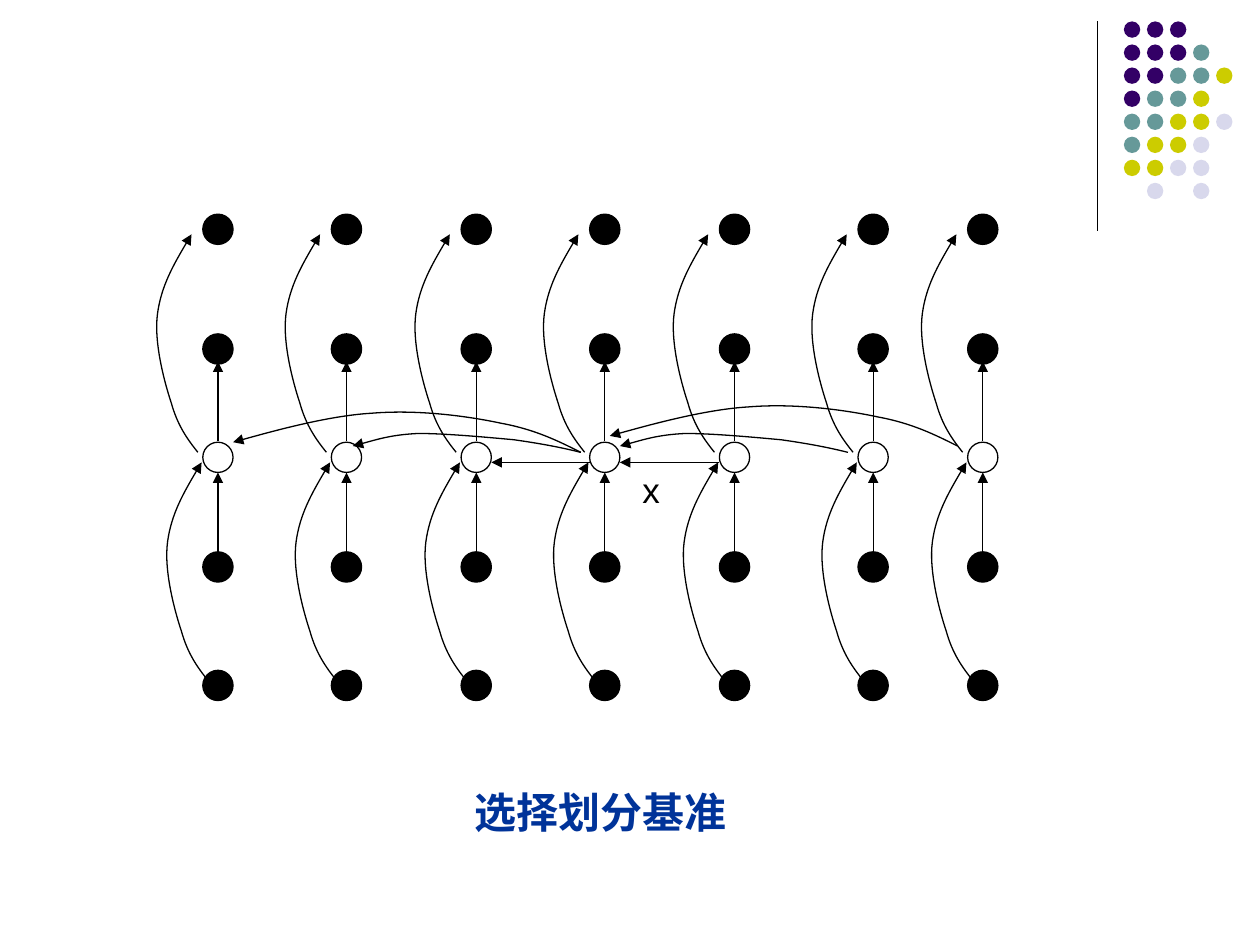
from lxml import etree
from pptx import Presentation
from pptx.dml.color import RGBColor
from pptx.enum.shapes import MSO_CONNECTOR, MSO_SHAPE
from pptx.enum.text import PP_ALIGN
from pptx.oxml.ns import qn
from pptx.util import Inches, Pt

STRAIGHT = MSO_CONNECTOR.STRAIGHT
OVAL = MSO_SHAPE.OVAL
LEFT, CENTER = PP_ALIGN.LEFT, PP_ALIGN.CENTER

COLORS = {
    "black": "000000",
    "white": "FFFFFF",
    "caption": "003399",
    "P": "330066",
    "T": "669999",
    "Y": "CCCC00",
    "L": "D8D8EC",
}
DOT_ROWS = ["PPP", "PPPT", "PPTTY", "PTTY", "TTYYL", "TYYL", "YYLL", " L L"]
COLUMN_CENTERS = [1.73, 2.75, 3.78, 4.8, 5.83, 6.93, 7.8]
NODE_ROWS = [(1.7, "black"), (2.65, "black"), (3.51, "white"),
             (4.38, "black"), (5.32, "black")]
NODE = 0.24
SIDE_CURVE = [(0.35, 1.73), (0.27, 1.63), (0.19, 1.52), (0.14, 1.34),
              (0.08, 1.16), (0, 0.85), (0.03, 0.63), (0.06, 0.41),
              (0.18, 0.2), (0.3, 0)]
SHORT_ARC = [(1.81, 0.15), (1.65, 0.11), (1.49, 0.08), (1.28, 0.05),
             (1.06, 0.03), (0.74, 0), (0.52, 0), (0.31, 0.01),
             (0.15, 0.06), (0, 0.1)]
LONG_ARC = [(2.76, 0.34), (2.58, 0.25), (2.4, 0.16), (2.13, 0.11),
            (1.85, 0.05), (1.46, 0), (1.1, 0.03), (0.75, 0.05),
            (0.18, 0.21), (0, 0.26)]


def rgb(name):
    return RGBColor.from_string(COLORS[name])


def style_line(sp, arrow=True):
    sp.line.color.rgb = rgb("black")
    sp.line.width = Pt(0.75)
    if arrow:
        ln = sp.line._get_or_add_ln()
        etree.SubElement(ln, qn("a:tailEnd"), type="triangle")


def add_line(s, x1, y1, x2, y2, arrow=True):
    cxn = s.shapes.add_connector(STRAIGHT, Inches(x1), Inches(y1),
                                 Inches(x2), Inches(y2))
    style_line(cxn, arrow)
    etree.SubElement(cxn._element.spPr, qn("a:effectLst"))


def add_curve(s, left, top, points):
    start, *rest = [(Inches(left + x), Inches(top + y)) for x, y in points]
    builder = s.shapes.build_freeform(*start)
    builder.add_line_segments(rest, close=False)
    sp = builder.convert_to_shape()
    sp.fill.background()
    style_line(sp)
    sp.shadow.inherit = False
    segments = list(sp._element.iter(qn("a:lnTo")))
    for i in range(0, len(segments), 3):
        bezier = etree.SubElement(segments[i].getparent(), qn("a:cubicBezTo"))
        for segment in segments[i:i + 3]:
            bezier.append(segment[0])
            segment.getparent().remove(segment)


def add_circle(s, left, top, size, color, outlined):
    sp = s.shapes.add_shape(OVAL, Inches(left), Inches(top),
                            Inches(size), Inches(size))
    sp.shadow.inherit = False
    sp.fill.solid()
    sp.fill.fore_color.rgb = rgb(color)
    if outlined:
        style_line(sp, arrow=False)
    else:
        sp.line.fill.background()


def add_text(s, left, top, width, height, text, size, color, bold, align):
    tb = s.shapes.add_textbox(Inches(left), Inches(top),
                              Inches(width), Inches(height))
    tf = tb.text_frame
    tf.word_wrap = True
    tf.text = text
    p = tf.paragraphs[0]
    p.alignment = align
    font = p.runs[0].font
    font.name = "Arial"
    font.size = Pt(size)
    font.bold = bold
    font.color.rgb = rgb(color)


def add_dot_ornament(s, left, top, height):
    add_line(s, left, top, left, top + height, arrow=False)
    for row, codes in enumerate(DOT_ROWS):
        for col, code in enumerate(codes):
            if code != " ":
                add_circle(s, left + 0.21 + col * 0.183, top + row * 0.183,
                           0.13, code, outlined=False)


def add_column(s, center):
    for top, color in NODE_ROWS:
        add_circle(s, center - NODE / 2, top, NODE, color, outlined=True)
    add_curve(s, center - 0.51, 1.86, SIDE_CURVE)
    add_curve(s, center - 0.43, 3.67, SIDE_CURVE)
    add_line(s, center, 3.5, center, 2.87)
    add_line(s, center, 4.38, center, 3.75)


def add_median_links(s, y):
    for left, right in ((3.9, 4.69), (4.92, 5.71)):
        add_line(s, right, y, left, y)
    for left in (2.8, 4.92):
        add_curve(s, left, y - 0.23, SHORT_ARC)
    for left, top in ((1.85, y - 0.42), (4.84, y - 0.47)):
        add_curve(s, left, top, LONG_ARC)


def main():
    prs = Presentation()
    prs.slide_width, prs.slide_height = Inches(10), Inches(7.5)
    s = prs.slides.add_slide(prs.slide_layouts[6])
    add_dot_ornament(s, 8.71, 0.17, 1.66)
    for center in COLUMN_CENTERS:
        add_column(s, center)
    add_median_links(s, 3.67)
    add_text(s, 5, 3.67, 0.47, 0.44, "x", 20, "black", False, LEFT)
    add_text(s, 3.11, 6.19, 3.31, 0.5, "选择划分基准", 24, "caption", True, CENTER)
    prs.save("out.pptx")


if __name__ == "__main__":
    main()
